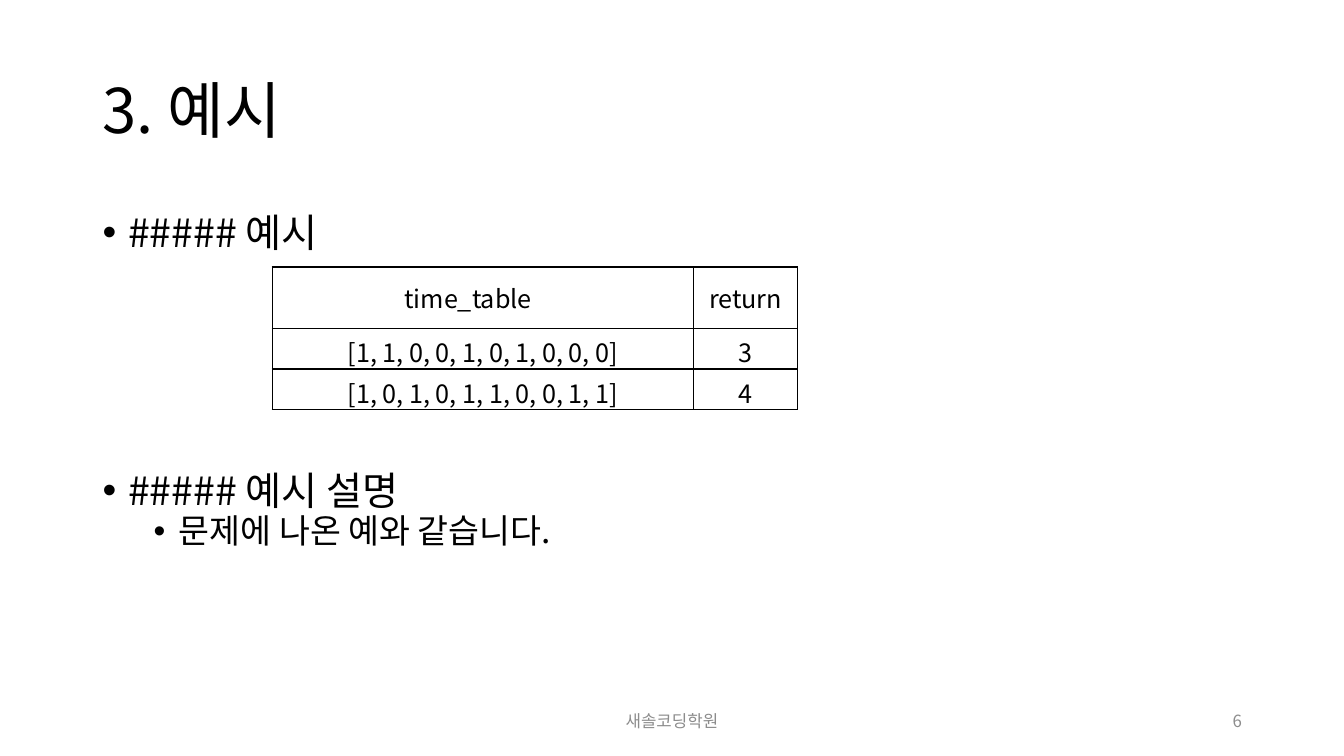
from dataclasses import dataclass

from lxml import etree
from pptx import Presentation
from pptx.dml.color import RGBColor
from pptx.enum.text import MSO_ANCHOR, PP_ALIGN
from pptx.oxml.ns import qn
from pptx.slide import Slide
from pptx.table import _Cell
from pptx.text.text import TextFrame, _Paragraph
from pptx.util import Cm, Pt


@dataclass(frozen=True)
class Theme:
    font: str = "Noto Sans CJK KR"
    ink: str = "000000"
    muted: str = "8C8C8C"
    paper: str = "FFFFFF"
    title: int = 44
    heading: int = 28
    detail: int = 24
    table: int = 18
    footer: int = 12
    border: int = 1


@dataclass(frozen=True)
class Box:
    left: float
    top: float
    width: float
    height: float


@dataclass(frozen=True)
class Label:
    text: str
    box: Box
    size: int
    color: str
    align: PP_ALIGN
    line_spacing: float = 1.0


@dataclass(frozen=True)
class Bullet:
    text: str
    size: int
    indent: float
    space_before: int
    line_spacing: float
    level: int = 0


THEME = Theme()
HANGING = 0.64
MARGIN = 2.34
CONTENT_WIDTH = 29.21
FOOTER_TOP = 17.65
FOOTER_HEIGHT = 1.02

LABELS = [
    Label("3. 예시", Box(MARGIN, 1.02, CONTENT_WIDTH, 3.68),
          THEME.title, THEME.ink, PP_ALIGN.LEFT, 0.9),
    Label("새솔코딩학원", Box(11.22, FOOTER_TOP, 11.43, FOOTER_HEIGHT),
          THEME.footer, THEME.muted, PP_ALIGN.CENTER),
    Label("6", Box(23.93, FOOTER_TOP, 7.62, FOOTER_HEIGHT),
          THEME.footer, THEME.muted, PP_ALIGN.RIGHT),
]
BODY_BOX = Box(MARGIN, 5.13, CONTENT_WIDTH, 12.95)
BULLETS = [
    Bullet("##### 예시", THEME.heading, HANGING, 0, 1.0),
    Bullet("##### 예시 설명", THEME.heading, HANGING, 154, 0.9),
    Bullet("문제에 나온 예와 같습니다.", THEME.detail, 3 * HANGING, 1, 0.9, 1),
]
TABLE_BOX = Box(6.86, 6.73, 13.24, 3.59)
COLUMN_WIDTHS = [10.62, 2.62]
ROW_HEIGHTS = [1.55, 1.02, 1.02]
EXAMPLES = [
    ("time_table", "return"),
    ("[1, 1, 0, 0, 1, 0, 1, 0, 0, 0]", "3"),
    ("[1, 0, 1, 0, 1, 1, 0, 0, 1, 1]", "4"),
]
HEADER_RIGHT_MARGIN = 1.0


def write(paragraph: _Paragraph, text: str, size: int, color: str) -> None:
    run = paragraph.add_run()
    run.text = text
    run.font.size = Pt(size)
    run.font.color.rgb = RGBColor.from_string(color)
    run.font.name = THEME.font
    etree.SubElement(run.font._element, qn("a:ea"), typeface=THEME.font)


def add_frame(slide: Slide, box: Box, anchor: MSO_ANCHOR) -> TextFrame:
    shape = slide.shapes.add_textbox(
        Cm(box.left), Cm(box.top), Cm(box.width), Cm(box.height))
    frame = shape.text_frame
    frame.word_wrap = True
    frame.vertical_anchor = anchor
    return frame


def add_label(slide: Slide, label: Label) -> None:
    paragraph = add_frame(slide, label.box, MSO_ANCHOR.MIDDLE).paragraphs[0]
    paragraph.alignment = label.align
    paragraph.line_spacing = label.line_spacing
    write(paragraph, label.text, label.size, label.color)


def add_bullets(slide: Slide, box: Box, bullets: list[Bullet]) -> None:
    frame = add_frame(slide, box, MSO_ANCHOR.TOP)
    for index, bullet in enumerate(bullets):
        paragraph = frame.add_paragraph() if index else frame.paragraphs[0]
        paragraph.level = bullet.level
        paragraph.line_spacing = bullet.line_spacing
        paragraph.space_before = Pt(bullet.space_before)
        properties = paragraph._p.get_or_add_pPr()
        properties.set("marL", str(Cm(bullet.indent)))
        properties.set("indent", str(-Cm(HANGING)))
        etree.SubElement(properties, qn("a:buFont"), typeface="Arial")
        etree.SubElement(properties, qn("a:buChar"), char="•")
        write(paragraph, bullet.text, bullet.size, THEME.ink)


def style_cell(cell: _Cell) -> None:
    properties = cell._tc.get_or_add_tcPr()
    for side in ("a:lnL", "a:lnR", "a:lnT", "a:lnB"):
        line = etree.SubElement(properties, qn(side), w=str(Pt(THEME.border)))
        fill = etree.SubElement(line, qn("a:solidFill"))
        etree.SubElement(fill, qn("a:srgbClr"), val=THEME.ink)
    cell.fill.solid()
    cell.fill.fore_color.rgb = RGBColor.from_string(THEME.paper)
    cell.vertical_anchor = MSO_ANCHOR.MIDDLE


def add_examples(slide: Slide, box: Box) -> None:
    table = slide.shapes.add_table(
        len(ROW_HEIGHTS), len(COLUMN_WIDTHS),
        Cm(box.left), Cm(box.top), Cm(box.width), Cm(box.height)).table
    table.first_row = False
    table.horz_banding = False
    for column, width in zip(table.columns, COLUMN_WIDTHS):
        column.width = Cm(width)
    for row, height, values in zip(table.rows, ROW_HEIGHTS, EXAMPLES):
        row.height = Cm(height)
        for cell, value in zip(row.cells, values):
            style_cell(cell)
            paragraph = cell.text_frame.paragraphs[0]
            paragraph.alignment = PP_ALIGN.CENTER
            write(paragraph, value, THEME.table, THEME.ink)
    table.cell(0, 0).margin_right = Cm(HEADER_RIGHT_MARGIN)


def main() -> None:
    presentation = Presentation()
    presentation.slide_width = Cm(33.87)
    presentation.slide_height = Cm(19.05)
    slide = presentation.slides.add_slide(presentation.slide_layouts[6])
    add_bullets(slide, BODY_BOX, BULLETS)
    add_examples(slide, TABLE_BOX)
    for label in LABELS:
        add_label(slide, label)
    presentation.save("out.pptx")


main()
